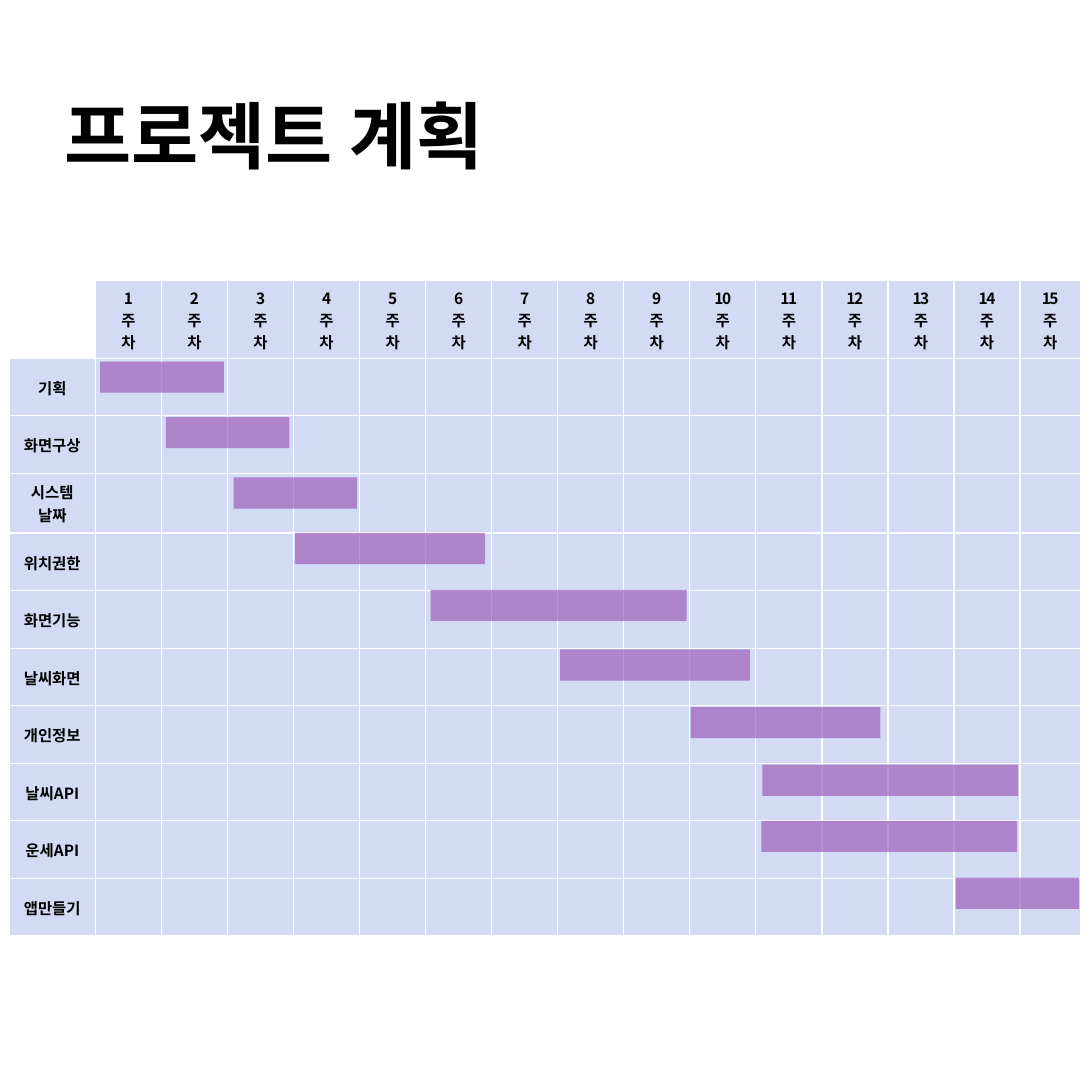
from dataclasses import dataclass

from lxml.etree import SubElement
from pptx import Presentation
from pptx.dml.color import RGBColor
from pptx.enum.shapes import MSO_SHAPE
from pptx.enum.text import MSO_ANCHOR, PP_ALIGN
from pptx.oxml import parse_xml
from pptx.oxml.ns import nsdecls, qn
from pptx.util import Pt


@dataclass(frozen=True)
class Theme:
    text: str = "000000"
    paper: str = "FFFFFF"
    cell: str = "C0CDEF"
    bar: str = "9D5CBB"
    cell_opacity: int = 71
    bar_opacity: int = 69
    title_font: str = "Calibri"
    table_font: str = "Noto Sans CJK KR"
    title_size: float = 52
    table_size: float = 11


# Layout in points
SLIDE_SIZE = 777.6
TABLE_LEFT, TABLE_TOP = 6.5, 200
LABEL_WIDTH, WEEK_WIDTH, LAST_WEEK_WIDTH = 61.5, 47.05, 43
HEADER_HEIGHT, ROW_HEIGHT, TALL_ROW_HEIGHT = 54.5, 41, 42.5
BAR_HEIGHT, BAR_GAP = 22.2, 6
WEEKS = 15

# Task, first week, number of weeks, offset of the bar from its cell corner
TASKS = [
    ("기획", 1, 2, 3.3, 3),
    ("화면구상", 2, 2, 3, 1.5),
    ("시스템\n날짜", 3, 2, 4.2, 3.5),
    ("위치권한", 4, 3, 1, 0.5),
    ("화면기능", 6, 4, 3.5, 0),
    ("날씨화면", 8, 3, 1.5, 1.5),
    ("개인정보", 10, 3, 0.3, 1.5),
    ("날씨API", 11, 4, 4.4, 1.5),
    ("운세API", 11, 4, 3.7, 0.5),
    ("앱만들기", 14, 2, 0.8, 0),
]


class PlanSlide:
    def __init__(self, presentation, theme):
        self.theme = theme
        self.slide = presentation.slides.add_slide(presentation.slide_layouts[5])

    def paint(self, fill, color, opacity):
        fill.solid()
        fill.fore_color.rgb = RGBColor.from_string(color)
        color_element = fill._xPr.find(qn("a:solidFill"))[0]
        SubElement(color_element, qn("a:alpha"), val=str(opacity * 1000))

    def style(self, paragraph, font_name, size, alignment, spacing=0):
        paragraph.alignment = alignment
        font = paragraph.font
        font.name, font.size, font.bold = font_name, Pt(size), True
        font.color.rgb = RGBColor.from_string(self.theme.text)
        properties = paragraph._p.pPr.find(qn("a:defRPr"))
        properties.set("spc", str(spacing))
        SubElement(properties, qn("a:ea"), typeface=font_name)

    def title(self, text, left, top, width, height):
        shape = self.slide.shapes.title
        shape.left, shape.top = Pt(left), Pt(top)
        shape.width, shape.height = Pt(width), Pt(height)
        frame = shape.text_frame
        frame.text = text
        frame.vertical_anchor = MSO_ANCHOR.MIDDLE
        self.style(frame.paragraphs[0], self.theme.title_font,
                   self.theme.title_size, PP_ALIGN.LEFT)

    def table(self, left, top, widths, heights):
        frame = self.slide.shapes.add_table(
            len(heights), len(widths), Pt(left), Pt(top), Pt(sum(widths)), Pt(sum(heights)))
        table = frame.table
        table.first_row = table.horz_banding = False
        for column, width in zip(table.columns, widths):
            column.width = Pt(width)
        for row, height in zip(table.rows, heights):
            row.height = Pt(height)
        for cell in table.iter_cells():
            self.paint(cell.fill, self.theme.cell, self.theme.cell_opacity)
            self.borders(cell)
        self.paint(table.cell(0, 0).fill, self.theme.paper, self.theme.cell_opacity)
        return table

    def borders(self, cell):
        properties = cell._tc.get_or_add_tcPr()
        for position, side in enumerate("LRTB"):
            properties.insert(position, parse_xml(
                f'<a:ln{side} {nsdecls("a")} w="12700"><a:solidFill>'
                f'<a:srgbClr val="{self.theme.paper}"/></a:solidFill></a:ln{side}>'))

    def cell_text(self, cell, text, spacing=0, line_spacing=None):
        cell.text_frame.text = text
        cell.vertical_anchor = MSO_ANCHOR.MIDDLE
        for paragraph in cell.text_frame.paragraphs:
            self.style(paragraph, self.theme.table_font, self.theme.table_size,
                       PP_ALIGN.CENTER, spacing)
            paragraph.line_spacing = line_spacing

    def bar(self, left, top, width, height):
        shape = self.slide.shapes.add_shape(
            MSO_SHAPE.RECTANGLE, Pt(left), Pt(top), Pt(width), Pt(height))
        shape.shadow.inherit = False
        shape.line.fill.background()
        self.paint(shape.fill, self.theme.bar, self.theme.bar_opacity)


def main():
    presentation = Presentation()
    presentation.slide_width = presentation.slide_height = Pt(SLIDE_SIZE)
    plan = PlanSlide(presentation, Theme())
    plan.title("프로젝트 계획", 38.9, 31, 699.8, 129.6)

    # Week grid
    widths = [LABEL_WIDTH] + [WEEK_WIDTH] * (WEEKS - 1) + [LAST_WEEK_WIDTH]
    heights = [HEADER_HEIGHT] + [
        TALL_ROW_HEIGHT if "\n" in task[0] else ROW_HEIGHT for task in TASKS]
    table = plan.table(TABLE_LEFT, TABLE_TOP, widths, heights)
    for week in range(1, WEEKS + 1):
        plan.cell_text(table.cell(0, week), f"{week}\n주\n차", spacing=-100)

    # Task labels and bars
    for row, (label, first_week, weeks, shift_x, shift_y) in enumerate(TASKS, start=1):
        plan.cell_text(table.cell(row, 0), label, line_spacing=1.03)
        plan.bar(TABLE_LEFT + sum(widths[:first_week]) + shift_x,
                 TABLE_TOP + sum(heights[:row]) + shift_y,
                 weeks * WEEK_WIDTH - BAR_GAP, BAR_HEIGHT)

    presentation.save("out.pptx")


if __name__ == "__main__":
    main()
